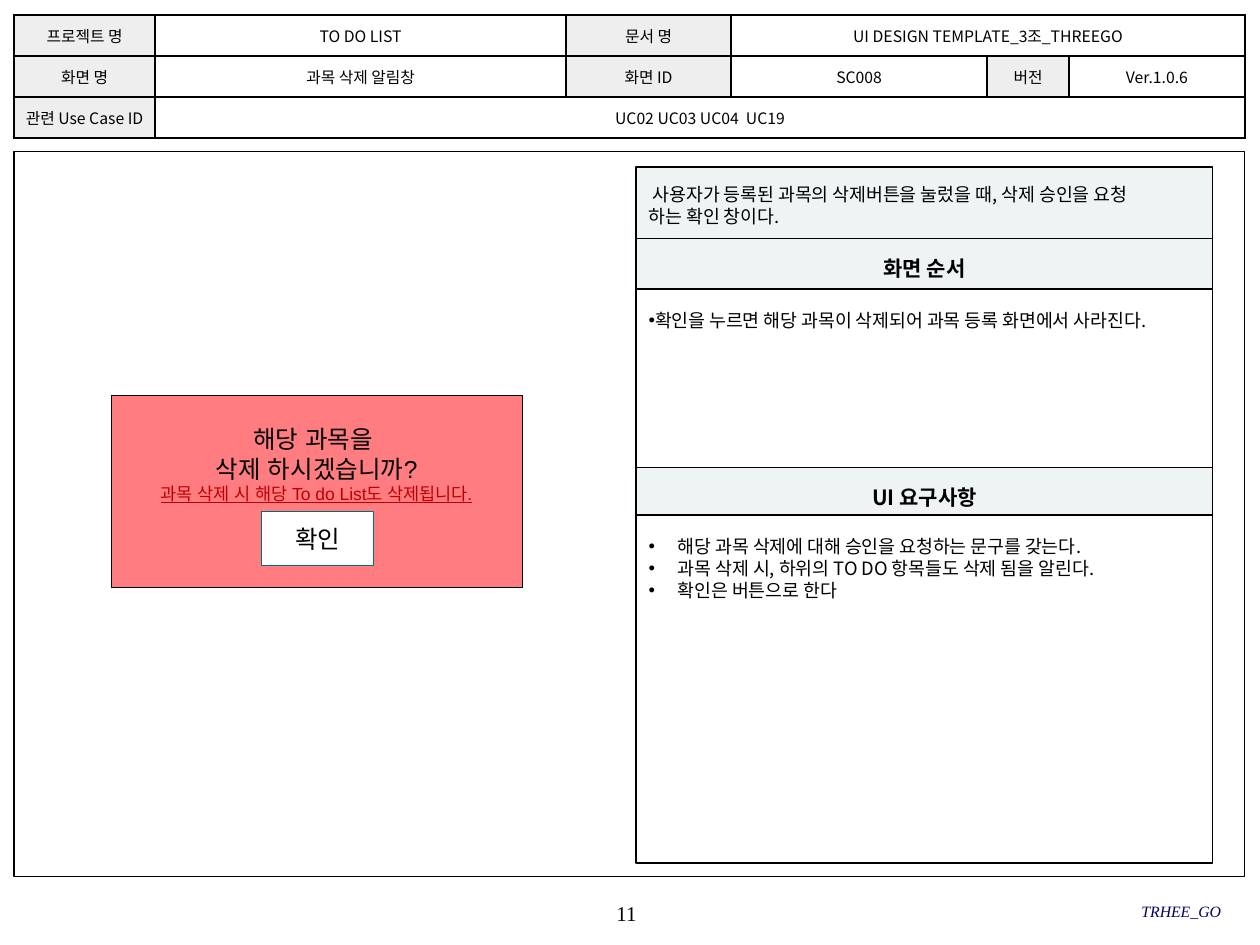
from dataclasses import dataclass

from lxml.etree import SubElement
from pptx import Presentation
from pptx.dml.color import RGBColor as RGB
from pptx.enum.shapes import MSO_SHAPE as SHAPE
from pptx.enum.text import MSO_ANCHOR as ANCHOR, PP_ALIGN as ALIGN
from pptx.oxml.ns import qn
from pptx.util import Pt


@dataclass(frozen=True)
class Theme:
    black: str = "000000"
    white: str = "FFFFFF"
    label: str = "EEEEEE"
    band: str = "EEF4F4"
    alert: str = "FF7C80"
    warning: str = "C00000"
    button_line: str = "007171"
    footer: str = "000066"
    sans: str = "Noto Sans CJK KR"
    dialog: str = "Arial"
    serif: str = "Times New Roman"
    small: float = 9
    note: float = 10
    body: float = 10.5
    heading: float = 12
    prompt: float = 14


T = Theme()


def set_bullet(p, indent):
    pPr = p._p.get_or_add_pPr()
    pPr.set("marL", str(Pt(indent)))
    pPr.set("indent", str(-Pt(indent)))
    SubElement(pPr, qn("a:buFont"), typeface=T.dialog)
    SubElement(pPr, qn("a:buChar"), char="•")


def write(tf, lines, size=T.body, font=T.sans, color=T.black, bold=False, italic=False,
          underline=False, align=ALIGN.CENTER, bullet=None, more=False):
    for i, line in enumerate(lines):
        p = tf.add_paragraph() if more or i else tf.paragraphs[0]
        p.alignment = align
        if bullet is not None:
            set_bullet(p, bullet)
        r = p.add_run()
        r.text = line
        f = r.font
        f.size, f.name, f.bold, f.italic, f.underline = Pt(size), font, bold, italic, underline
        f.color.rgb = RGB.from_string(color)
        SubElement(r._r.get_or_add_rPr(), qn("a:ea"), typeface=font)


def set_frame(tf, anchor=ANCHOR.TOP, insets=(7.2, 3.6, 7.2, 3.6)):
    tf.word_wrap = True
    tf.vertical_anchor = anchor
    tf.margin_left, tf.margin_top, tf.margin_right, tf.margin_bottom = map(Pt, insets)
    return tf


def add_box(shapes, box, fill=None, line=T.black, weight=1.0, **frame):
    sp = shapes.add_shape(SHAPE.RECTANGLE, *map(Pt, box))
    sp.shadow.inherit = False
    if fill:
        sp.fill.solid()
        sp.fill.fore_color.rgb = RGB.from_string(fill)
    else:
        sp.fill.background()
    sp.line.color.rgb = RGB.from_string(line)
    sp.line.width = Pt(weight)
    return set_frame(sp.text_frame, **frame)


def add_text(shapes, box, **frame):
    return set_frame(shapes.add_textbox(*map(Pt, box)).text_frame, **frame)


def set_borders(cell):
    tcPr = cell._tc.get_or_add_tcPr()
    for i, side in enumerate(("a:lnL", "a:lnR", "a:lnT", "a:lnB")):
        ln = tcPr.makeelement(qn(side), {"w": str(Pt(1))})
        SubElement(SubElement(ln, qn("a:solidFill")), qn("a:srgbClr"), val=T.black)
        tcPr.insert(i, ln)


def add_header(shapes, box):
    rows = (
        ("프로젝트 명", "TO DO LIST", "문서 명", "UI DESIGN TEMPLATE_3조_THREEGO"),
        ("화면 명", "과목 삭제 알림창", "화면 ID", "SC008", "버전", "Ver.1.0.6"),
        ("관련 Use Case ID", "UC02 UC03 UC04  UC19"),
    )
    widths = (80.6, 234.9, 94.3, 146.3, 46.8, 100.5)
    table = shapes.add_table(len(rows), len(widths), *map(Pt, box)).table
    table.first_row = table.horz_banding = False
    for col, width in zip(table.columns, widths):
        col.width = Pt(width)
    for r, texts in enumerate(rows):
        table.rows[r].height = Pt(box[3] / len(rows))
        for c in range(len(widths)):
            cell = table.cell(r, c)
            if c < len(texts) and c % 2 == 0:
                cell.fill.solid()
                cell.fill.fore_color.rgb = RGB.from_string(T.label)
            else:
                cell.fill.background()
            set_borders(cell)
        last = len(texts) - 1
        if last < len(widths) - 1:
            table.cell(r, last).merge(table.cell(r, len(widths) - 1))
        for c, text in enumerate(texts):
            cell = table.cell(r, c)
            cell.vertical_anchor = ANCHOR.MIDDLE
            cell.margin_left = cell.margin_right = Pt(2.9)
            cell.margin_top = cell.margin_bottom = Pt(1.4)
            write(cell.text_frame, [text], size=T.small)


def add_summary(shapes, box):
    tf = add_box(shapes, box, T.band, insets=(7.2, 9.6, 7.2, 3.6))
    write(tf, [" 사용자가 등록된 과목의 삭제버튼을 눌렀을 때, 삭제 승인을 요청",
               "하는 확인 창이다."], align=ALIGN.JUSTIFY)


def add_section(shapes, box, head, title, items, indent):
    x, y, w, h = box
    group = shapes.add_group_shape().shapes
    tf = add_box(group, (x, y, w, head), T.band, insets=(7.2, 9.6, 7.2, 3.6))
    write(tf, [title], size=T.heading, bold=True)
    tf = add_box(group, (x, y + head, w, h - head), T.white, insets=(7.2, 11.5, 7.2, 3.6))
    write(tf, items, align=ALIGN.JUSTIFY, bullet=indent)


def add_dialog(shapes, box):
    x, y, w, h = box
    group = shapes.add_group_shape().shapes
    add_box(group, box, T.alert, weight=0.5)
    tf = add_box(group, (x + 85.7, y + 66.2, 64, 31), T.white, T.button_line, 0.5,
                 anchor=ANCHOR.MIDDLE)
    write(tf, ["확인"], size=T.prompt)
    tf = add_text(group, (x + 10.8, y + 13, w - 22.3, 53.3))
    write(tf, ["해당 과목을 ", "삭제 하시겠습니까?"], size=T.prompt, font=T.dialog)
    write(tf, ["과목 삭제 시 해당 To do List도 삭제됩니다."], size=T.note, font=T.dialog,
          color=T.warning, underline=True, more=True)


def add_footer(shapes, box):
    x, y, w, h = box
    flat = dict(anchor=ANCHOR.MIDDLE, insets=(0, 0, 0, 0))
    tf = add_text(shapes, (x + 275, y + 0.7, 150, h), **flat)
    write(tf, ["11"], size=T.heading, font=T.serif)
    tf = add_text(shapes, (x + w - 220.3, y, 220.3, h), **flat)
    write(tf, ["TRHEE_GO"], size=T.small, font=T.serif, color=T.footer, italic=True,
          align=ALIGN.RIGHT)


def main():
    prs = Presentation()
    prs.slide_width, prs.slide_height = Pt(720), Pt(540)
    shapes = prs.slides.add_slide(prs.slide_layouts[6]).shapes
    add_box(shapes, (8, 86.6, 703.4, 414.2), weight=0.75)
    add_footer(shapes, (8, 509, 689.7, 23.8))
    left, width = 363.6, 329.4
    add_section(shapes, (left, 136.3, width, 130.9), 28.8, "화면 순서",
                ["확인을 누르면 해당 과목이 삭제되어 과목 등록 화면에서 사라진다."], 0)
    add_section(shapes, (left, 267.2, width, 225.9), 27.3, "UI 요구사항",
                ["해당 과목 삭제에 대해 승인을 요청하는 문구를 갖는다.",
                 "과목 삭제 시, 하위의 TO DO 항목들도 삭제 됨을 알린다.",
                 "확인은 버튼으로 한다"], 16.6)
    add_summary(shapes, (left, 95.3, width, 41))
    add_dialog(shapes, (63.8, 225.9, 234.9, 109.9))
    add_header(shapes, (8, 8.6, 703.4, 70.2))
    prs.save("out.pptx")


if __name__ == "__main__":
    main()
